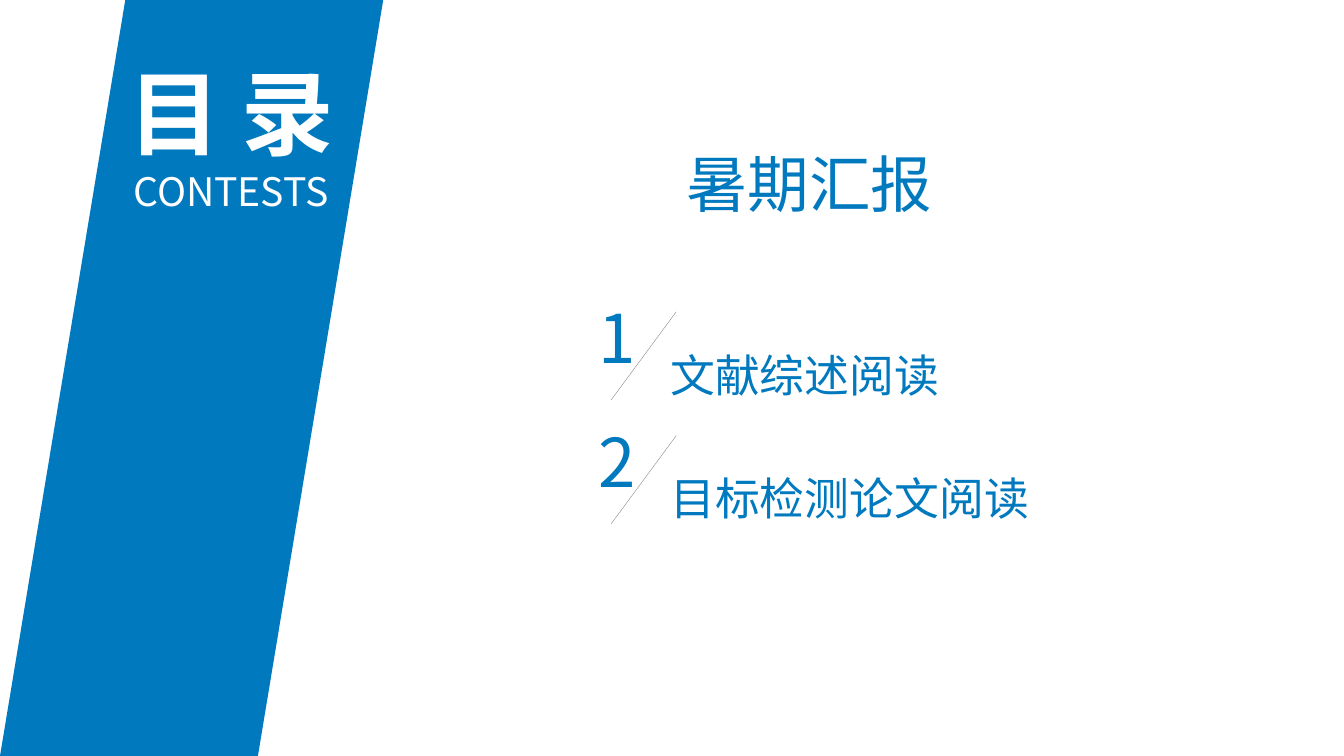
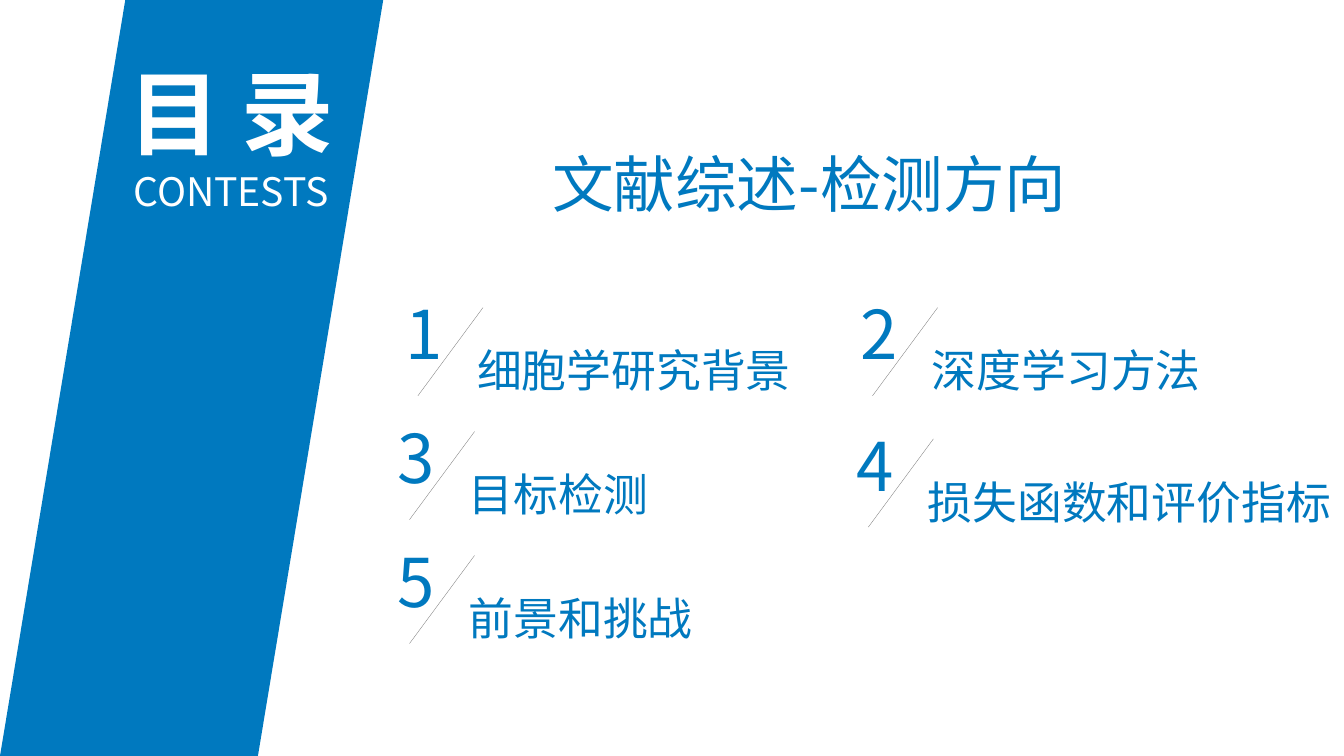
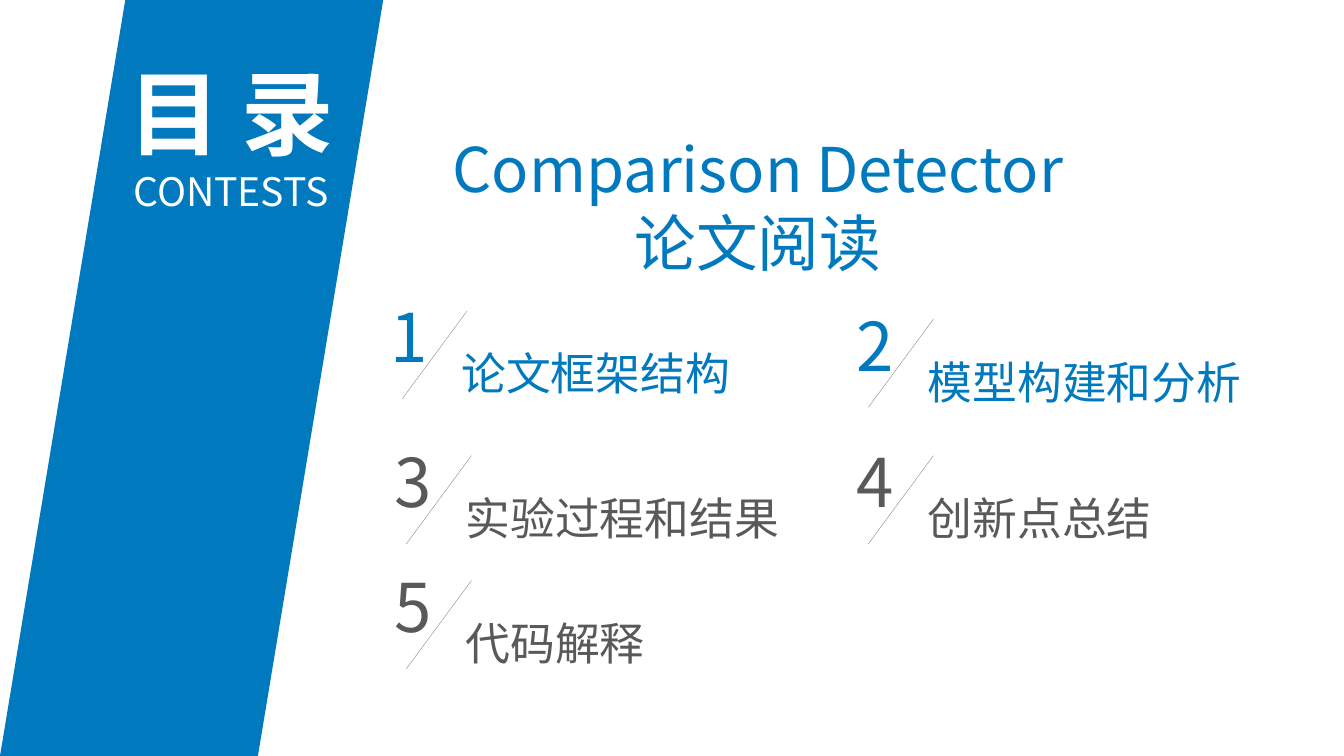
from lxml import etree
from pptx import Presentation
from pptx.dml.color import RGBColor
from pptx.enum.shapes import MSO_CONNECTOR, MSO_SHAPE
from pptx.enum.text import MSO_ANCHOR, MSO_AUTO_SIZE, PP_ALIGN
from pptx.oxml.ns import qn
from pptx.util import Pt

EMU_PER_PX = 9525
PAGE_WIDTH, PAGE_HEIGHT = 1280, 720
BLANK_LAYOUT = 6

BLUE = RGBColor(0x00, 0x79, 0xBF)
WHITE = RGBColor(0xFF, 0xFF, 0xFF)
DARK_GRAY = RGBColor(0x59, 0x59, 0x59)
LINE_GRAY = RGBColor(0x80, 0x80, 0x80)
FONT = "Noto Sans CJK SC"

LEFT, CENTER = PP_ALIGN.LEFT, PP_ALIGN.CENTER
TOP, MIDDLE = MSO_ANCHOR.TOP, MSO_ANCHOR.MIDDLE
GROW, FIXED = MSO_AUTO_SIZE.SHAPE_TO_FIT_TEXT, MSO_AUTO_SIZE.NONE
STRAIGHT, PARALLELOGRAM = MSO_CONNECTOR.STRAIGHT, MSO_SHAPE.PARALLELOGRAM

BAND_BOX = (0, 0, 365, PAGE_HEIGHT)
BAND_SLANT = 0.327

NUMBER = {"size": Pt(48)}
LABEL = {"size": Pt(32)}
TITLE = {"size": Pt(44)}
BAND_HEADING = [
    ("目 录", {"size": Pt(66), "bold": True}),
    ("CONTESTS", {"size": Pt(28), "bold": False}),
]

# Each item: left and top of its number, label, colour.
PAGES = [
    {
        "title": ["暑期汇报"],
        "title_box": (365, 134, 812, 81),
        "items": [
            (561, 278, "文献综述阅读", BLUE),
            (561, 396, "目标检测论文阅读", BLUE),
        ],
    },
    {
        "title": ["文献综述-检测方向"],
        "title_box": (365, 134, 812, 81),
        "items": [
            (377, 274, "细胞学研究背景", BLUE),
            (810, 274, "深度学习方法", BLUE),
            (369, 392, "目标检测", BLUE),
            (806, 399, "损失函数和评价指标", BLUE),
            (369, 510, "前景和挑战", BLUE),
        ],
    },
    {
        "title": ["Comparison Detector", "论文阅读"],
        "title_box": (316, 120, 812, 152),
        "items": [
            (362, 277, "论文框架结构", BLUE),
            (806, 285, "模型构建和分析", BLUE),
            (366, 415, "实验过程和结果", DARK_GRAY),
            (806, 415, "创新点总结", DARK_GRAY),
            (366, 534, "代码解释", DARK_GRAY),
        ],
    },
]


def px(*lengths):
    """Turn px lengths into EMU."""
    return [length * EMU_PER_PX for length in lengths]


def add_text(shapes, box, lines, color, align=LEFT, anchor=TOP, fit=GROW, wrap=True):
    """Place a text box; lines holds (text, font format) pairs."""
    frame = shapes.add_textbox(*px(*box)).text_frame
    frame.word_wrap = wrap
    frame.auto_size = fit
    frame.vertical_anchor = anchor
    for index, (text, font_format) in enumerate(lines):
        para = frame.add_paragraph() if index else frame.paragraphs[0]
        para.alignment = align
        span = para.add_run()
        span.text = text
        span.font.color.rgb = color
        for name, value in {"name": FONT, **font_format}.items():
            setattr(span.font, name, value)
        east_asian = etree.SubElement(span.font._element, qn("a:ea"))
        east_asian.set("typeface", FONT)


def add_band(shapes, box):
    left, top, width, _ = box
    band = shapes.add_shape(PARALLELOGRAM, *px(*box))
    band.adjustments[0] = BAND_SLANT
    band.shadow.inherit = False
    band.fill.solid()
    band.fill.fore_color.rgb = BLUE
    band.line.fill.background()
    heading_box = (left + 94, top + 60, width - 113, 137)
    add_text(shapes, heading_box, BAND_HEADING, WHITE, CENTER, MIDDLE, FIXED)


def add_slash(shapes, start, end):
    slash = shapes.add_connector(STRAIGHT, *px(*start, *end))
    slash.line.color.rgb = LINE_GRAY
    slash.line.width = Pt(0.25)
    etree.SubElement(slash._element.spPr, qn("a:effectLst"))


def add_item(shapes, number, left, top, label, color):
    """Group a number, a slash and a label around the number's corner."""
    parts = shapes.add_group_shape().shapes
    add_text(parts, (left, top, 58, 87), [(str(number), NUMBER)], color, wrap=False)
    add_slash(parts, (left + 83, top + 19), (left + 21, top + 103))
    add_text(parts, (left + 68, top + 48, 445, 61), [(label, LABEL)], color)


def add_contents_page(deck, title, title_box, items):
    shapes = deck.slides.add_slide(deck.slide_layouts[BLANK_LAYOUT]).shapes
    add_band(shapes, BAND_BOX)
    add_text(shapes, title_box, [(line, TITLE) for line in title], BLUE, CENTER)
    for number, item in enumerate(items, start=1):
        add_item(shapes, number, *item)


def main():
    deck = Presentation()
    deck.slide_width, deck.slide_height = px(PAGE_WIDTH, PAGE_HEIGHT)
    for page in PAGES:
        add_contents_page(deck, **page)
    deck.save("out.pptx")


if __name__ == "__main__":
    main()
